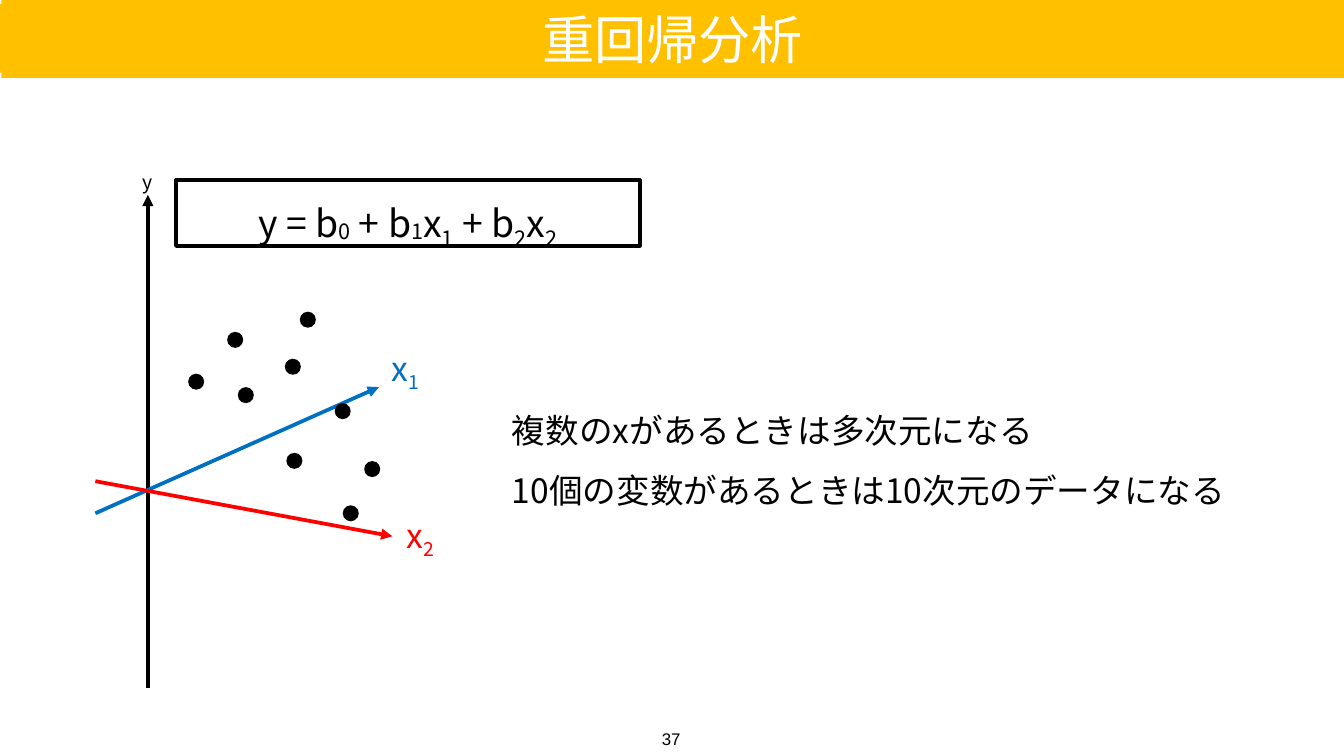
from dataclasses import dataclass

from lxml import etree
from pptx import Presentation
from pptx.dml.color import RGBColor
from pptx.enum.shapes import MSO_CONNECTOR, MSO_SHAPE
from pptx.enum.text import MSO_ANCHOR, MSO_AUTO_SIZE, PP_ALIGN
from pptx.oxml.ns import qn
from pptx.util import Pt

RECTANGLE, OVAL = MSO_SHAPE.RECTANGLE, MSO_SHAPE.OVAL
STRAIGHT = MSO_CONNECTOR.STRAIGHT
TOP, MIDDLE = MSO_ANCHOR.TOP, MSO_ANCHOR.MIDDLE
LEFT, CENTER = PP_ALIGN.LEFT, PP_ALIGN.CENTER
FIXED_SIZE = MSO_AUTO_SIZE.NONE

BLACK, WHITE, AMBER = "000000", "FFFFFF", "FFC000"
BLUE, RED = "0070C0", "FF0000"
JAPANESE_FONT, NUMBER_FONT = "Noto Sans CJK JP", "Arial"
SUBSCRIPT, SLIGHT_SUBSCRIPT = -25, -6
DOT_SIZE = 8.6


@dataclass
class Box:
    left: float
    top: float
    width: float
    height: float


@dataclass
class Piece:
    text: str
    baseline: int = 0


@dataclass
class Axis:
    start: tuple[float, float]
    end: tuple[float, float]
    color: str
    label_box: Box
    label: list[Piece]


@dataclass
class Style:
    size: float
    color: str = BLACK
    font: str = JAPANESE_FONT
    align: PP_ALIGN = CENTER
    anchor: MSO_ANCHOR = MIDDLE
    inset: float = 4.3
    line_spacing: float = 1.0
    wrap: bool = False


AXES = [
    Axis((79.2, 368.6), (79.2, 104.4), BLACK, Box(71.3, 79.9, 15.8, 22.3),
         [Piece("y", SUBSCRIPT)]),
    Axis((51.1, 275), (203, 207.4), BLUE, Box(203, 183.6, 28.1, 30.2),
         [Piece("x"), Piece("1", SUBSCRIPT)]),
    Axis((51.1, 257.8), (210.2, 287.3), RED, Box(211, 272.9, 28.1, 30.2),
         [Piece("x"), Piece("2", SUBSCRIPT)]),
]
OBSERVATIONS = [
    (121.7, 177.8), (100.8, 200.2), (127.4, 207.4),
    (160.6, 167), (152.6, 192.2), (153.4, 242.6),
    (179.3, 216), (183.6, 270.7), (195.1, 247),
]
FORMULA = [
    Piece("y = b"), Piece("0", SLIGHT_SUBSCRIPT),
    Piece(" + b"), Piece("1", SLIGHT_SUBSCRIPT),
    Piece("x"), Piece("1", SUBSCRIPT),
    Piece(" + b"), Piece("2", SUBSCRIPT),
    Piece("x"), Piece("2", SUBSCRIPT),
]
REMARKS = [
    [Piece("複数のxがあるときは多次元になる")],
    [Piece("10個の変数があるときは10次元のデータになる")],
]


def paint(target, color: str) -> None:
    """Give a fill, or the fill of a line, one solid colour."""
    target.solid()
    target.fore_color.rgb = RGBColor.from_string(color)


def place(shape, box: Box) -> None:
    shape.left, shape.top = Pt(box.left), Pt(box.top)
    shape.width, shape.height = Pt(box.width), Pt(box.height)


def write(shape, paragraphs: list[list[Piece]], style: Style) -> None:
    frame = shape.text_frame
    frame.auto_size = FIXED_SIZE
    frame.word_wrap = style.wrap
    frame.vertical_anchor = style.anchor
    frame.margin_left = frame.margin_right = Pt(style.inset)
    frame.margin_top = frame.margin_bottom = Pt(style.inset)
    for index, pieces in enumerate(paragraphs):
        paragraph = frame.add_paragraph() if index else frame.paragraphs[0]
        paragraph.alignment = style.align
        paragraph.line_spacing = style.line_spacing
        for piece in pieces:
            run = paragraph.add_run()
            run.text = piece.text
            run.font.size = Pt(style.size)
            run.font.name = style.font
            paint(run.font.fill, style.color)
            properties = run._r.get_or_add_rPr()
            etree.SubElement(properties, qn("a:ea"), typeface=style.font)
            if piece.baseline:
                properties.set("baseline", str(piece.baseline * 1000))


def add_solid(slide, preset: MSO_SHAPE, box: Box, color: str) -> None:
    solid = slide.shapes.add_shape(preset, 0, 0, 0, 0)
    place(solid, box)
    solid.shadow.inherit = False
    paint(solid.fill, color)
    solid.line.fill.background()


def add_text(slide, box: Box, paragraphs: list[list[Piece]], style: Style) -> None:
    text_box = slide.shapes.add_textbox(0, 0, 0, 0)
    place(text_box, box)
    write(text_box, paragraphs, style)


def add_formula(slide) -> None:
    formula = slide.shapes.add_shape(RECTANGLE, 0, 0, 0, 0)
    place(formula, Box(94.3, 96.5, 248.4, 35.3))
    formula.shadow.inherit = False
    formula.fill.background()
    paint(formula.line.fill, BLACK)
    formula.line.width = Pt(2)
    write(formula, [FORMULA], Style(20, inset=1.4, line_spacing=1.5, wrap=True))


def add_title(slide) -> None:
    add_solid(slide, RECTANGLE, Box(0.7, 0, 720, 41.8), AMBER)
    title = slide.shapes.title
    place(title, Box(0, 2.2, 720.7, 36.7))
    paint(title.fill, AMBER)
    write(title, [[Piece("重回帰分析")]], Style(28, WHITE, inset=1.4, wrap=True))
    slide.shapes._spTree.append(title._element)  # in front of the bar


def add_axis(slide, axis: Axis) -> None:
    arrow = slide.shapes.add_connector(
        STRAIGHT, *(Pt(value) for value in axis.start + axis.end))
    paint(arrow.line.fill, axis.color)
    arrow.line.width = Pt(2)
    etree.SubElement(arrow.line._get_or_add_ln(), qn("a:tailEnd"), type="triangle")
    etree.SubElement(arrow._element.spPr, qn("a:effectLst"))
    add_text(slide, axis.label_box, [axis.label], Style(18, axis.color))


def main() -> None:
    deck = Presentation()
    deck.slide_width, deck.slide_height = Pt(720), Pt(405)
    slide = deck.slides.add_slide(deck.slide_layouts[5])

    add_formula(slide)
    add_title(slide)
    for axis in AXES:
        add_axis(slide, axis)
    for left, top in OBSERVATIONS:
        add_solid(slide, OVAL, Box(left, top, DOT_SIZE, DOT_SIZE), BLACK)
    add_text(slide, Box(270, 204.5, 405.4, 73.4), REMARKS,
             Style(18, align=LEFT, line_spacing=1.5))
    add_text(slide, Box(350.6, 385.9, 18, 18.7), [[Piece("37")]],
             Style(9, font=NUMBER_FONT, anchor=TOP))
    deck.save("out.pptx")


if __name__ == "__main__":
    main()
